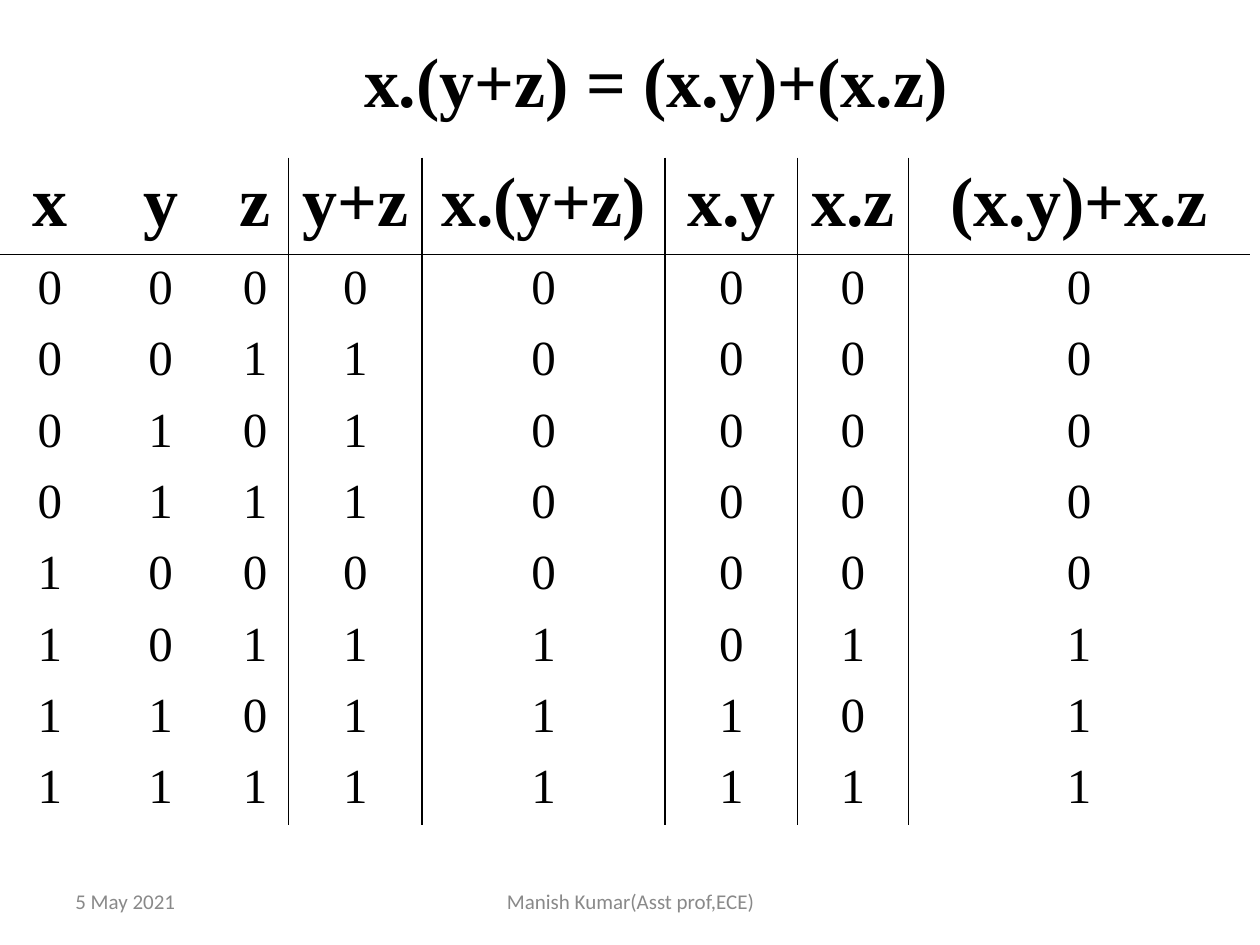
from dataclasses import dataclass
from itertools import product

from lxml import etree
from pptx import Presentation
from pptx.dml.color import RGBColor
from pptx.enum.text import MSO_ANCHOR, PP_ALIGN
from pptx.oxml.ns import qn
from pptx.util import Inches, Pt

LEFT, CENTER = PP_ALIGN.LEFT, PP_ALIGN.CENTER
TOP, MIDDLE = MSO_ANCHOR.TOP, MSO_ANCHOR.MIDDLE


@dataclass(frozen=True)
class Theme:
    """Hold the colours, fonts and sizes."""
    ink: str = "000000"
    muted: str = "898989"
    serif: str = "Times New Roman"
    sans: str = "Calibri"
    head: int = 40
    body: int = 28
    foot: int = 12
    rule: int = 1


THEME = Theme()
HEAD = dict(name=THEME.serif, size=Pt(THEME.head), bold=True)
BODY = dict(name=THEME.serif, size=Pt(THEME.body), bold=False)
FOOT = dict(name=THEME.sans, size=Pt(THEME.foot), bold=False)
COLS = (0.79, 0.97, 0.53, 1.06, 1.93, 1.05, 0.88, 2.71)
TERMS = ("x", "y", "z", "y+z", "x.(y+z)", "x.y", "x.z", "(x.y)+x.z")
INPUTS = 3


def write(frame, text, font, color, align, anchor):
    """Put one styled paragraph in a text frame."""
    frame.word_wrap = True
    frame.vertical_anchor = anchor
    para = frame.paragraphs[0]
    para.alignment = align
    run = para.add_run()
    run.text = text
    for key, value in font.items():
        setattr(run.font, key, value)
    run.font.color.rgb = RGBColor.from_string(color)
    return para


def add_title(slide, box, text):
    """Move and fill the title placeholder."""
    title = slide.shapes.title
    title.left, title.top, title.width, title.height = map(Inches, box)
    write(title.text_frame, text, HEAD, THEME.ink, CENTER, TOP)


def add_foot(slide, box, text, align):
    """Place one footer text in its box."""
    shape = slide.shapes.add_textbox(*map(Inches, box))
    write(shape.text_frame, text, FOOT, THEME.muted, align, MIDDLE)


def rule_cell(cell, sides):
    """Draw the named sides of a cell and clear the others."""
    props = cell._tc.get_or_add_tcPr()
    for side in "LRTB":
        line = etree.SubElement(props, qn(f"a:ln{side}"), w=str(Pt(THEME.rule)))
        if side in sides:
            fill = etree.SubElement(line, qn("a:solidFill"))
            etree.SubElement(fill, qn("a:srgbClr"), val=THEME.ink)
        else:
            etree.SubElement(line, qn("a:noFill"))
    cell.fill.background()


def fill_cell(cell, text, font):
    """Write centred cell text with a fifth of a line above it."""
    para = write(cell.text_frame, text, font, THEME.ink, CENTER, TOP)
    gap = etree.Element(qn("a:spcBef"))
    etree.SubElement(gap, qn("a:spcPct"), val="20000")
    para._p.get_or_add_pPr().insert(0, gap)


def truth_rows():
    """Work out the truth table of the distributive law."""
    for x, y, z in product((0, 1), repeat=INPUTS):
        yield x, y, z, y | z, x & (y | z), x & y, x & z, x & y | x & z


def add_truth(slide, box, head):
    """Build the truth table in its box, below a header row."""
    rows = [TERMS, *truth_rows()]
    frame = slide.shapes.add_table(len(rows), len(COLS), *map(Inches, box))
    table = frame.table
    table.first_row = table.horz_banding = False
    for col, width in zip(table.columns, COLS):
        col.width = Inches(width)
    step = (box[3] - head) / (len(rows) - 1)
    for r, row in enumerate(rows):
        table.rows[r].height = Inches(step if r else head)
        for c, value in enumerate(row):
            cell = table.cell(r, c)
            fill_cell(cell, str(value), BODY if r else HEAD)
            sides = "L" if c >= INPUTS else ""
            sides += "R" if INPUTS - 1 <= c < len(COLS) - 1 else ""
            sides += {0: "B", 1: "T"}.get(r, "")
            rule_cell(cell, sides)


def main():
    """Build and save the slide."""
    deck = Presentation()
    deck.slide_width, deck.slide_height = Inches(10), Inches(7.5)
    slide = deck.slides.add_slide(deck.slide_layouts[5])
    add_truth(slide, (0, 1.25, sum(COLS), 5.3), 0.77)
    add_title(slide, (2.33, 0.25, 5.75, 0.77), "x.(y+z) = (x.y)+(x.z)")
    add_foot(slide, (0.5, 6.95, 2.33, 0.4), "5 May 2021", LEFT)
    add_foot(slide, (3.42, 6.95, 3.17, 0.4), "Manish Kumar(Asst prof,ECE)", CENTER)
    deck.save("out.pptx")


if __name__ == "__main__":
    main()
